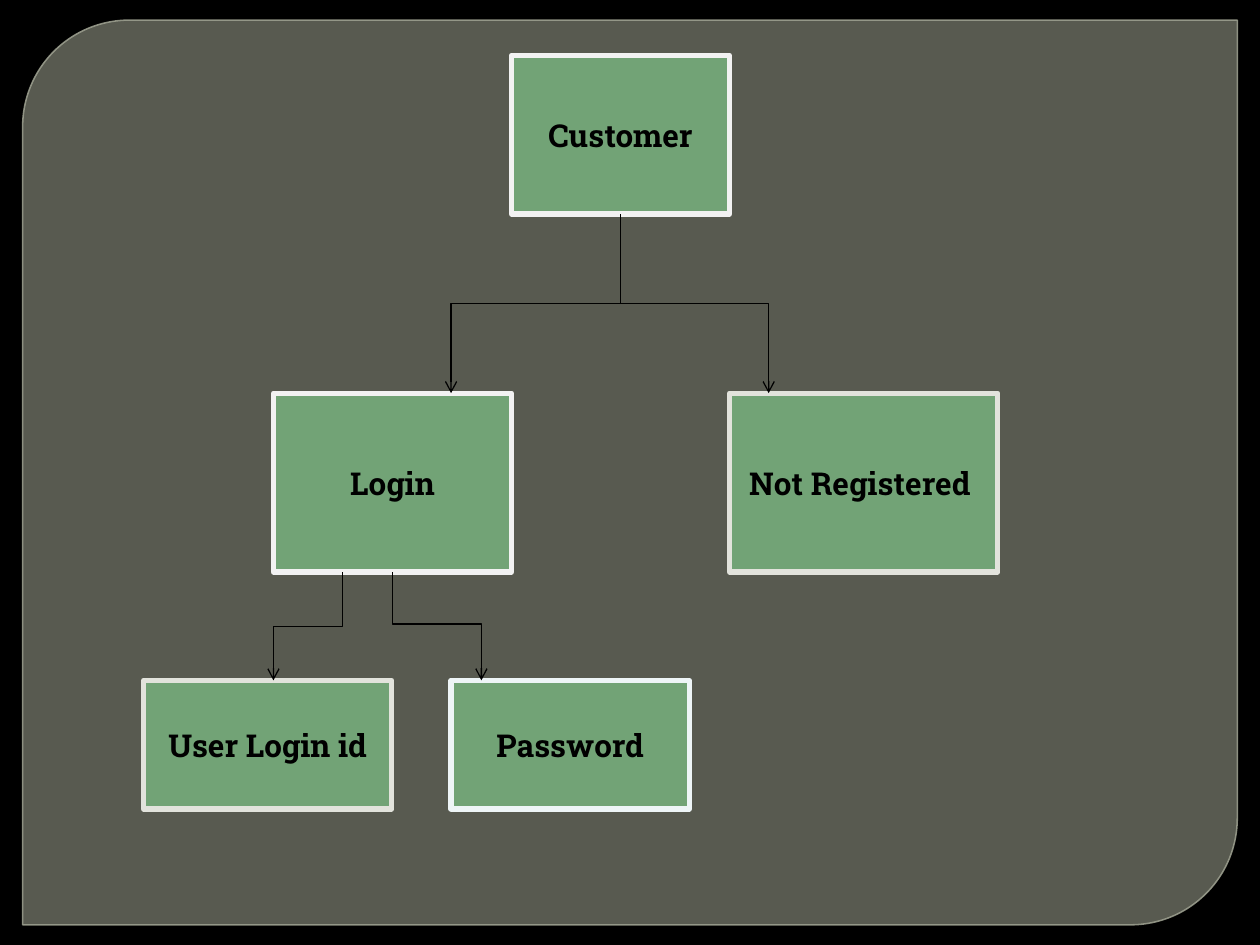
from dataclasses import dataclass

from lxml import etree
from pptx import Presentation
from pptx.dml.color import RGBColor
from pptx.enum.shapes import MSO_CONNECTOR, MSO_SHAPE
from pptx.enum.text import MSO_ANCHOR, PP_ALIGN
from pptx.oxml.ns import qn
from pptx.util import Inches, Pt

RECTANGLE = MSO_SHAPE.RECTANGLE
PANEL = MSO_SHAPE.ROUND_2_DIAG_RECTANGLE
ELBOW = MSO_CONNECTOR.ELBOW
CENTER = PP_ALIGN.CENTER
MIDDLE = MSO_ANCHOR.MIDDLE


@dataclass(frozen=True)
class Theme:
    black: str = "000000"
    panel: str = "888B7B"
    panel_edge: str = "9DA090"
    green: str = "72A376"
    light: str = "F2F2F2"
    beige: str = "E2E3DC"
    ice: str = "EEF5F7"
    font: str = "Roboto Slab"
    label_size: float = 18
    panel_line: float = 0.87
    box_line: float = 3
    arrow_line: float = 0.75


@dataclass(frozen=True)
class Node:
    label: str
    left: float
    top: float
    width: float
    height: float
    edge: str

    @property
    def center(self) -> float:
        return self.left + self.width / 2

    @property
    def bottom(self) -> float:
        return self.top + self.height


@dataclass(frozen=True)
class Branch:
    start_x: float
    end_x: float
    parent: Node
    child: Node
    bend: float = 0.5


THEME = Theme()
LABEL_FORMAT = {"name": THEME.font, "size": Pt(THEME.label_size), "bold": True}

CUSTOMER = Node("Customer", 4.06, 0.44, 1.73, 1.26, THEME.light)
LOGIN = Node("Login", 2.17, 3.12, 1.89, 1.42, THEME.light)
USER_ID = Node("User Login id", 1.14, 5.4, 1.97, 1.02, THEME.beige)
PASSWORD = Node("Password", 3.58, 5.4, 1.89, 1.02, THEME.ice)
UNREGISTERED = Node("Not Registered ", 5.79, 3.12, 2.13, 1.42, THEME.beige)
NODES = (CUSTOMER, LOGIN, USER_ID, PASSWORD, UNREGISTERED)

BRANCHES = (
    Branch(CUSTOMER.center, 3.58, CUSTOMER, LOGIN),
    Branch(CUSTOMER.center, 6.1, CUSTOMER, UNREGISTERED),
    Branch(2.72, 2.17, LOGIN, USER_ID),
    Branch(LOGIN.center, 3.82, LOGIN, PASSWORD, 0.48),
)


def color(value: str) -> RGBColor:
    return RGBColor.from_string(value)


def set_alpha(fill, percent: int) -> None:
    """Make a solid fill element partly transparent."""
    tint = fill.find(qn("a:srgbClr"))
    etree.SubElement(tint, qn("a:alpha"), val=str(percent * 1000))


def add_filled(page, kind, left, top, width, height, fill, edge, weight):
    shape = page.shapes.add_shape(
        kind, Inches(left), Inches(top), Inches(width), Inches(height))
    shape.shadow.inherit = False
    shape.fill.solid()
    shape.fill.fore_color.rgb = color(fill)
    shape.line.color.rgb = color(edge)
    shape.line.width = Pt(weight)
    return shape


def draw_panel(page) -> None:
    panel = add_filled(page, PANEL, 0.18, 0.16, 9.64, 7.18,
                       THEME.panel, THEME.panel_edge, THEME.panel_line)
    panel.adjustments[0] = 0.118
    panel.adjustments[1] = 0
    properties = panel._element.spPr
    set_alpha(properties.find(qn("a:solidFill")), 65)
    set_alpha(properties.find(qn("a:ln")).find(qn("a:solidFill")), 88)


def draw_node(page, node: Node) -> None:
    box = add_filled(page, RECTANGLE, node.left, node.top, node.width,
                     node.height, THEME.green, node.edge, THEME.box_line)
    frame = box.text_frame
    frame.word_wrap = True
    frame.vertical_anchor = MIDDLE
    para = frame.paragraphs[0]
    para.alignment = CENTER
    span = para.add_run()
    span.text = node.label
    for name, value in LABEL_FORMAT.items():
        setattr(span.font, name, value)
    span.font.color.rgb = color(THEME.black)


def draw_branch(page, branch: Branch) -> None:
    """Draw a down-across-down elbow as a turned horizontal one."""
    rise = branch.child.top - branch.parent.bottom
    run = abs(branch.end_x - branch.start_x)
    left = (branch.start_x + branch.end_x - rise) / 2
    top = (branch.parent.bottom + branch.child.top - run) / 2
    ends, turn = (left, left + rise), 90
    if branch.end_x > branch.start_x:
        ends, turn = (left + rise, left), 270
    arrow = page.shapes.add_connector(
        ELBOW, Inches(ends[0]), Inches(top), Inches(ends[1]), Inches(top + run))
    arrow.line.color.rgb = color(THEME.black)
    arrow.line.width = Pt(THEME.arrow_line)

    # Turn, bend position, arrowhead and no shadow
    properties = arrow._element.spPr
    properties.find(qn("a:xfrm")).set("rot", str(turn * 60000))
    guides = properties.find(qn("a:prstGeom")).find(qn("a:avLst"))
    etree.SubElement(guides, qn("a:gd"), name="adj1",
                     fmla=f"val {round(branch.bend * 100000)}")
    etree.SubElement(properties.find(qn("a:ln")), qn("a:tailEnd"), type="arrow")
    etree.SubElement(properties, qn("a:effectLst"))


def main() -> None:
    deck = Presentation()
    deck.slide_width, deck.slide_height = Inches(10), Inches(7.5)
    page = deck.slides.add_slide(deck.slide_layouts[6])

    # Background and panel
    page.background.fill.solid()
    page.background.fill.fore_color.rgb = color(THEME.black)
    draw_panel(page)

    # Login tree
    for node in NODES:
        draw_node(page, node)
    for branch in BRANCHES:
        draw_branch(page, branch)

    deck.save("out.pptx")


if __name__ == "__main__":
    main()
